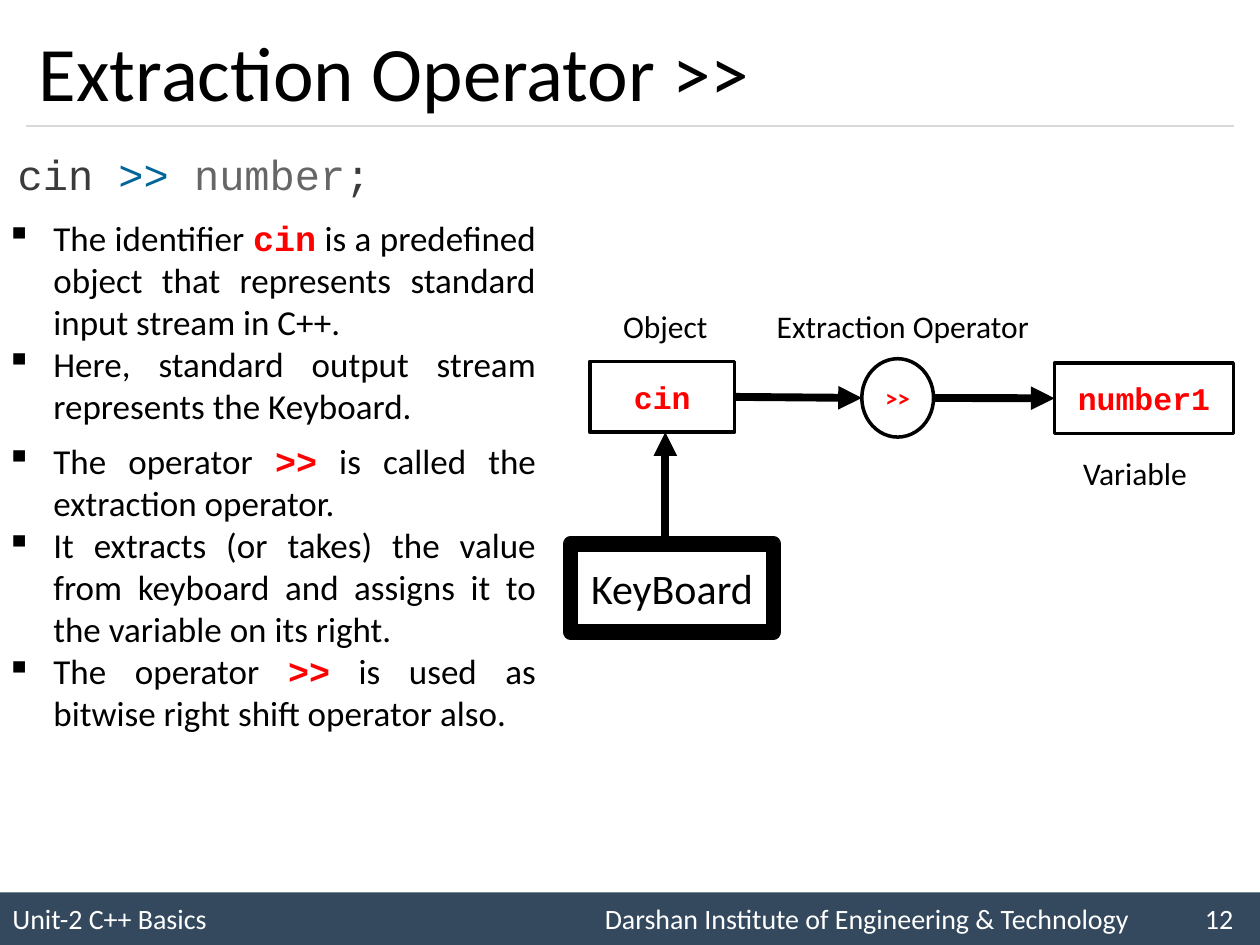
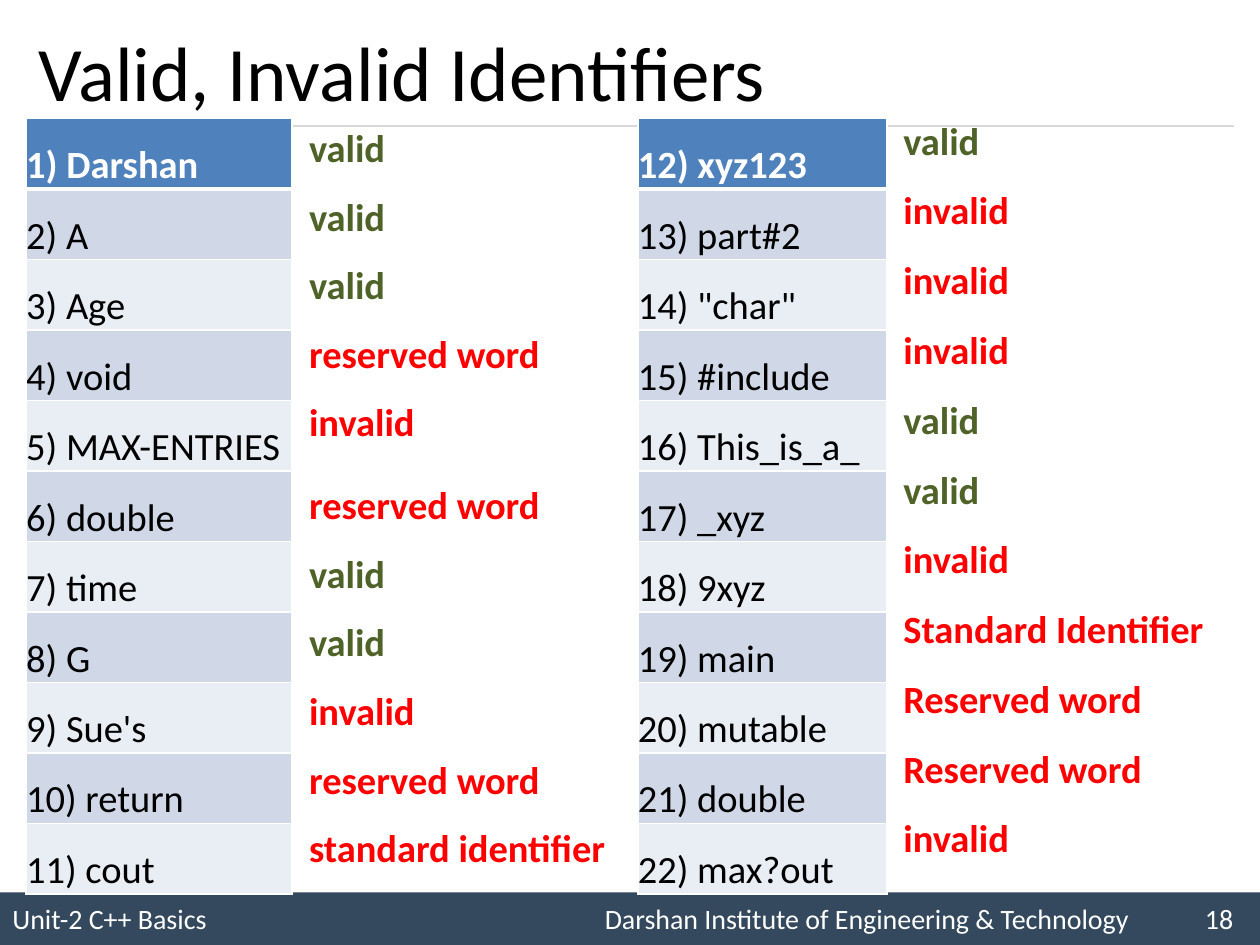
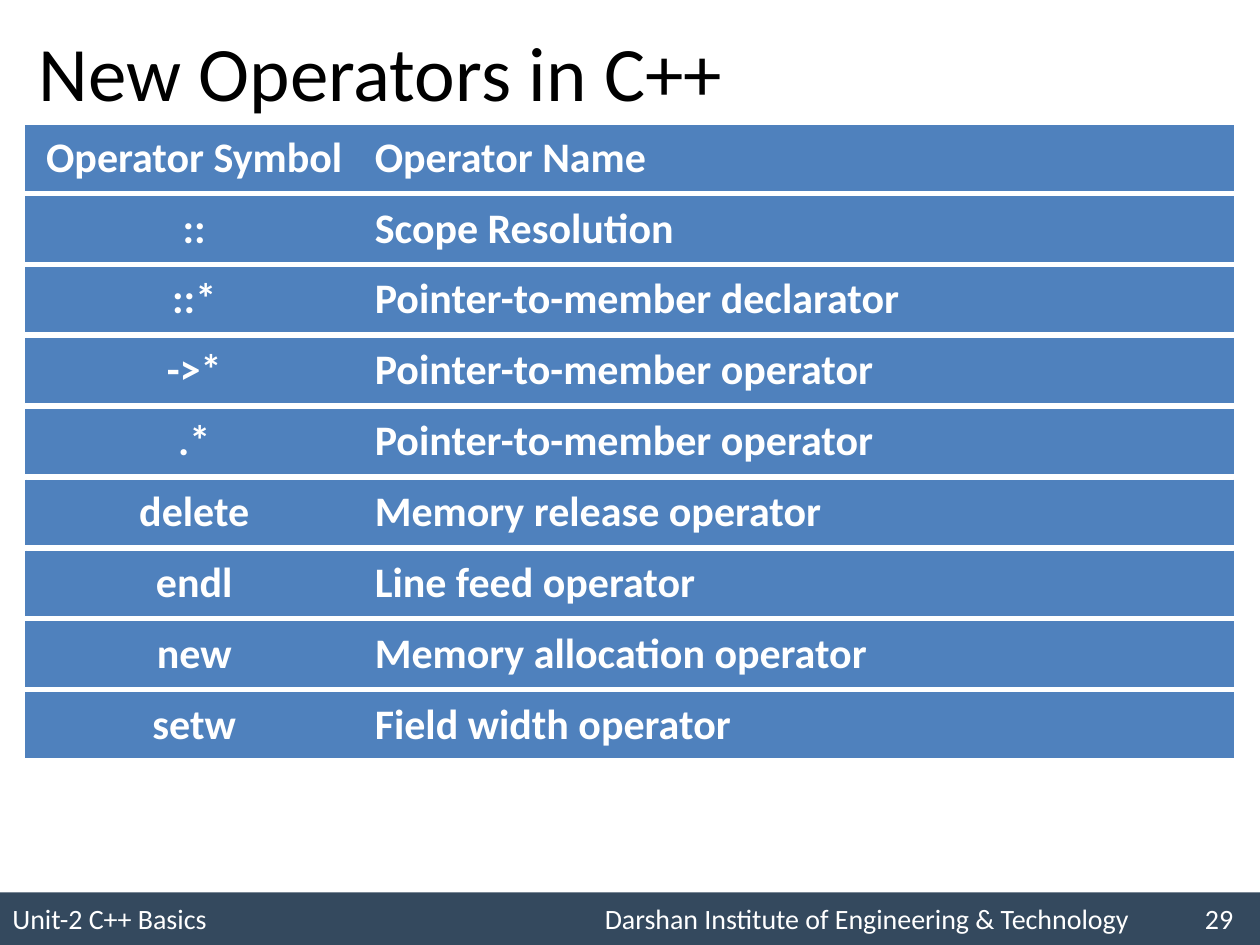
import lxml.etree
import pptx
import pptx.dml.color
import pptx.enum.shapes
import pptx.enum.text
import pptx.oxml.ns
import pptx.util

Pt = pptx.util.Pt
qn = pptx.oxml.ns.qn
ALIGN = pptx.enum.text.PP_ALIGN
ANCHOR = pptx.enum.text.MSO_ANCHOR
SHAPE = pptx.enum.shapes.MSO_SHAPE
STRAIGHT = pptx.enum.shapes.MSO_CONNECTOR.STRAIGHT

COLORS = {
    "black": "000000", "white": "FFFFFF", "red": "FF0000", "green": "4F6228",
    "band": "34495E", "rule": "D9D9D9", "blue": "4F81BD",
    "stripe_dark": "D0D8E8", "stripe_light": "E9EDF4",
    "code": "3B3B3B", "code_operator": "006699", "code_variable": "666666",
}
SANS, MONO = "Calibri", "Courier New"
PLAIN_TABLE = "{2D5ABB26-0587-4C30-8999-92F81FD0307C}"
MARGIN, CONTENT_WIDTH = 15, 690

FOOTER = ("Unit-2 C++ Basics", "Darshan Institute of Engineering & Technology")
FOOTER_TABS = (338.5, 681.5)

CODE_LINE = [("cin ", "code"), (">> ", "code_operator"),
             ("number", "code_variable"), (";", "code")]

# Words between backticks are set as code.
BULLET_BOXES = [
    ((-3.6, 120, 317, 128), [
        "The identifier `cin` is a predefined object that represents standard "
        "input stream in C++.",
        "Here, standard output stream represents the Keyboard.",
    ]),
    ((-3.6, 247.7, 317, 177), [
        "The operator `>>` is called the extraction operator.",
        "It extracts (or takes) the value from keyboard and assigns it to the "
        "variable on its right.",
        "The operator `>>` is used as bitwise right shift operator also.",
    ]),
]

# text, shape, place, line width, size, colour, font
NODES = [
    ("KeyBoard", SHAPE.RECTANGLE, (326, 311, 116, 50), 9, 24, "black", SANS),
    ("cin", SHAPE.RECTANGLE, (337, 206.6, 82.8, 40.4), 2, 18, "red", MONO),
    ("number1", SHAPE.RECTANGLE, (602.6, 207.4, 102.2, 40.4), 2, 18, "red", MONO),
    (">>", SHAPE.OVAL, (492.5, 205, 41, 44.8), 2, 14, "red", SANS),
]
LABELS = [
    ("Object", (333.4, 173.5, 93.6, 25)),
    ("Extraction Operator", (433.4, 173.5, 165, 25)),
    ("Variable", (609, 257.8, 79.2, 25)),
]

# left, width, first number, names
IDENTIFIERS = [
    (MARGIN, 152, 1, ["Darshan", "A", "Age", "void", "MAX-ENTRIES", "double",
                      "time", "G", "Sue's", "return", "cout"]),
    (364.5, 142.4, 12, ["xyz123", "part#2", '"char"', "#include", "This_is_a_",
                        "_xyz", "9xyz", "main", "mutable", "double", "max?out"]),
]
# left, top, width, row heights, verdicts
VERDICTS = [
    (176.6, 72, 176.4, [39.2] * 4 + [47.5] + [39.2] * 6,
     ["valid", "valid", "valid", "reserved word", "invalid", "reserved word",
      "valid", "valid", "invalid", "reserved word", "standard identifier"]),
    (516.2, 67.7, 184.3, [39.9] * 11,
     ["valid", "invalid", "invalid", "invalid", "valid", "valid", "invalid",
      "Standard Identifier", "Reserved word", "Reserved word", "invalid"]),
]

OPERATORS = [
    ("Operator Symbol", "Operator Name"),
    ("::", "Scope Resolution"),
    ("::*", "Pointer-to-member declarator"),
    ("->*", "Pointer-to-member operator"),
    (".*", "Pointer-to-member operator"),
    ("delete", "Memory release operator"),
    ("endl", "Line feed operator"),
    ("new", "Memory allocation operator"),
    ("setw", "Field width operator"),
]
OPERATOR_COLUMNS = (192, 498)
OPERATOR_PITCH = 40.5


def rgb(name):
    return pptx.dml.color.RGBColor.from_string(COLORS[name])


def points(place):
    return [Pt(value) for value in place]


def add_xml(parent, tag, **attributes):
    child = lxml.etree.SubElement(parent, qn(tag))
    for name, value in attributes.items():
        child.set(name, str(value))
    return child


def style(span, size, color="black", font=SANS, bold=False):
    span.font.size = Pt(size)
    span.font.name = font
    span.font.bold = bold
    span.font.color.rgb = rgb(color)


def write(holder, text, *look, align=ALIGN.LEFT):
    """Put one styled line of text in a shape or cell."""
    holder.text_frame.text = text
    para = holder.text_frame.paragraphs[0]
    para.alignment = align
    for span in para.runs:
        style(span, *look)
    return para


def place_box(box, place):
    box.left, box.top, box.width, box.height = points(place)


def add_line(page, start, end, width, color, arrow=False):
    line = page.shapes.add_connector(STRAIGHT, *points(start + end))
    line.line.width = Pt(width)
    line.line.color.rgb = rgb(color)
    if arrow:
        add_xml(line.line._get_or_add_ln(), "a:tailEnd", type="triangle")
    add_xml(line._element.spPr, "a:effectLst")
    return line


def add_page(deck, layout, title, number):
    """Add a slide with its footer band, title rule and title."""
    page = deck.slides.add_slide(deck.slide_layouts.get_by_name(layout))
    band = page.shapes.add_shape(SHAPE.RECTANGLE, *points((0, 510, 720, 30)))
    band.shadow.inherit = False
    band.fill.solid()
    band.fill.fore_color.rgb = rgb("band")
    band.line.fill.background()
    band.text_frame.vertical_anchor = ANCHOR.MIDDLE
    para = write(band, "\t".join(FOOTER + (str(number),)), 16, "white")
    tabs = add_xml(para._p.get_or_add_pPr(), "a:tabLst")
    for position in FOOTER_TABS:
        add_xml(tabs, "a:tab", pos=int(Pt(position)), algn="l")
    add_line(page, (MARGIN, 72), (MARGIN + CONTENT_WIDTH, 72), 0.75, "rule")

    heading = page.shapes.title
    place_box(heading, (MARGIN, 8.6, CONTENT_WIDTH, 63.4))
    write(heading, title, 44)
    heading.text_frame.vertical_anchor = ANCHOR.MIDDLE
    heading.text_frame.auto_size = pptx.enum.text.MSO_AUTO_SIZE.NONE
    return page


def add_code_line(page):
    box = page.placeholders[1]
    place_box(box, (2.9, 77, 334, 44.6))
    box.text_frame.auto_size = pptx.enum.text.MSO_AUTO_SIZE.NONE
    para = box.text_frame.paragraphs[0]
    para.line_spacing = 1.14
    para.space_before = Pt(0)
    properties = para._p.get_or_add_pPr()
    properties.set("marL", "0")
    properties.set("indent", "0")
    add_xml(properties, "a:buNone")
    for text, color in CODE_LINE:
        span = para.add_run()
        span.text = text
        style(span, 24, color, MONO)


def add_bullets(page, place, items):
    frame = page.shapes.add_textbox(*points(place)).text_frame
    frame.word_wrap = True
    for index, item in enumerate(items):
        para = frame.add_paragraph() if index else frame.paragraphs[0]
        para.alignment = ALIGN.JUSTIFY
        properties = para._p.get_or_add_pPr()
        properties.set("marL", str(Pt(27)))
        properties.set("indent", str(-Pt(27)))
        add_xml(properties, "a:buChar", char="▪")
        for part, text in enumerate(item.split("`")):
            span = para.add_run()
            span.text = text
            if part % 2:
                style(span, 20, "red", MONO, True)
            else:
                style(span, 20)


def add_diagram(page):
    nodes = {}
    for text, kind, place, width, size, color, font in NODES:
        node = page.shapes.add_shape(kind, *points(place))
        node.shadow.inherit = False
        node.fill.background()
        node.line.width = Pt(width)
        node.line.color.rgb = rgb("black")
        node.text_frame.word_wrap = False
        node.text_frame.vertical_anchor = ANCHOR.MIDDLE
        write(node, text, size, color, font, color == "red", align=ALIGN.CENTER)
        nodes[text] = node
    for text, place in LABELS:
        label = page.shapes.add_textbox(*points(place))
        label.text_frame.word_wrap = True
        label.text_frame.vertical_anchor = ANCHOR.MIDDLE
        write(label, text, 18, align=ALIGN.CENTER)

    add_line(page, (380.2, 307.4), (380.2, 247), 4.5, "black", True)
    to_operator = add_line(page, (419.8, 226.8), (492.5, 227.4), 4.5, "black", True)
    to_operator.begin_connect(nodes["cin"], 3)
    to_variable = add_line(page, (533.5, 227.4), (602.6, 227.6), 4.5, "black", True)
    to_variable.end_connect(nodes["number1"], 1)


def add_plain_table(page, left, top, widths, heights):
    """Add a table that has no style of its own."""
    table = page.shapes.add_table(
        len(heights), len(widths),
        *points((left, top, sum(widths), sum(heights)))).table
    table.first_row = table.horz_banding = False
    table._tbl.tblPr.find(qn("a:tableStyleId")).text = PLAIN_TABLE
    for column, width in zip(table.columns, widths):
        column.width = Pt(width)
    for row, height in zip(table.rows, heights):
        row.height = Pt(height)
    return table


def border(cell, color, **widths):
    """Draw the sides named L, R, T, B in that order; call before filling."""
    for side, width in widths.items():
        line = add_xml(cell._tc.get_or_add_tcPr(), "a:ln" + side, w=int(Pt(width)))
        add_xml(add_xml(line, "a:solidFill"), "a:srgbClr", val=COLORS[color])


def fill(cell, color):
    cell.fill.solid()
    cell.fill.fore_color.rgb = rgb(color)


def clear_margins(cell):
    cell.margin_left = cell.margin_right = cell.margin_top = cell.margin_bottom = 0


def add_identifiers(page, left, width, first, names):
    table = add_plain_table(page, left, 67.7, [width], [40.3] * len(names))
    for index, name in enumerate(names):
        cell = table.cell(index, 0)
        clear_margins(cell)
        cell.vertical_anchor = ANCHOR.MIDDLE
        head = index == 0
        border(cell, "white", L=1, R=1, T=3 if index == 1 else 1, B=3 if head else 1)
        fill(cell, "blue" if head else "stripe_dark" if index % 2 else "stripe_light")
        para = write(cell, f"{first + index}) {name}", 22,
                     "white" if head else "black", SANS, head)
        para.line_spacing = 1.5


def add_verdicts(page, left, top, width, heights, verdicts):
    table = add_plain_table(page, left, top, [width], heights)
    for index, verdict in enumerate(verdicts):
        cell = table.cell(index, 0)
        clear_margins(cell)
        cell.fill.background()
        write(cell, verdict, 22, "green" if verdict == "valid" else "red", SANS, True)


def add_operators(page):
    for index, texts in enumerate(OPERATORS):
        table = add_plain_table(page, MARGIN, 72 + index * OPERATOR_PITCH,
                                OPERATOR_COLUMNS, [36.5])
        symbol, name = table.cell(0, 0), table.cell(0, 1)
        border(symbol, "blue", L=1, T=1, B=1)
        border(name, "blue", R=1, T=1, B=1)
        for cell, text, align in zip((symbol, name), texts, (ALIGN.CENTER, ALIGN.LEFT)):
            fill(cell, "blue")
            write(cell, text, 24, "white", SANS, True, align=align)


def main():
    deck = pptx.Presentation()
    deck.slide_width, deck.slide_height = Pt(720), Pt(540)

    page = add_page(deck, "Title and Content", "Extraction Operator >>", 12)
    add_code_line(page)
    for place, items in BULLET_BOXES:
        add_bullets(page, place, items)
    add_diagram(page)

    page = add_page(deck, "Title Only", "Valid, Invalid Identifiers", 18)
    for column in IDENTIFIERS:
        add_identifiers(page, *column)
    for column in VERDICTS:
        add_verdicts(page, *column)

    page = add_page(deck, "Title Only", "New Operators in C++", 29)
    add_operators(page)

    deck.save("out.pptx")


if __name__ == "__main__":
    main()
